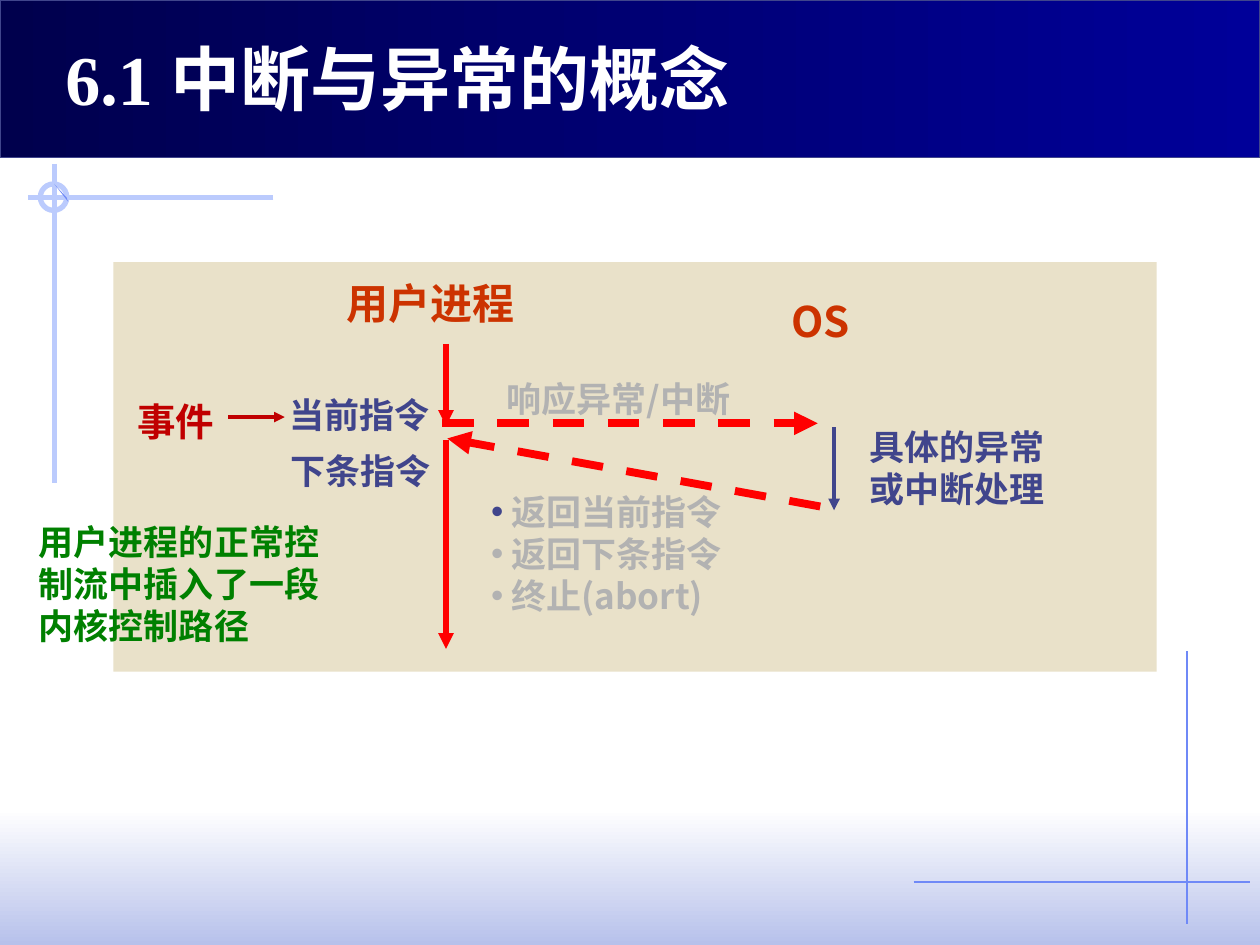
from lxml import etree
from pptx import Presentation
from pptx.dml.color import RGBColor
from pptx.enum.dml import MSO_LINE
from pptx.enum.shapes import MSO_CONNECTOR, MSO_SHAPE
from pptx.enum.text import MSO_ANCHOR
from pptx.oxml.ns import qn
from pptx.util import Inches, Pt

RECT, OVAL = MSO_SHAPE.RECTANGLE, MSO_SHAPE.OVAL
STRAIGHT = MSO_CONNECTOR.STRAIGHT
DASH = MSO_LINE.DASH
TOP, BOTTOM = MSO_ANCHOR.TOP, MSO_ANCHOR.BOTTOM

CJK = "Noto Sans CJK SC"
NAVY, RED, DARK_RED, ORANGE = "40458C", "FF0000", "C00000", "CC3300"
GREY, GREEN, WHITE = "B2B2B2", "008000", "FFFFFF"
PALE_BLUE, MID_BLUE = "BBCBFD", "6F89F7"


def rgb(value):
    return RGBColor.from_string(value)


def paint(sp, fill=None, gradient=None, angle=0, line=None, width=0.75):
    sp.shadow.inherit = False
    if gradient:
        sp.fill.gradient()
        sp.fill.gradient_angle = angle
        for stop, color in zip(sp.fill.gradient_stops, gradient):
            stop.color.rgb = rgb(color)
    elif fill:
        sp.fill.solid()
        sp.fill.fore_color.rgb = rgb(fill)
    else:
        sp.fill.background()
    if line:
        sp.line.color.rgb = rgb(line)
        sp.line.width = Pt(width)
    else:
        sp.line.fill.background()


def add_shape(s, kind, x, y, w, h, **style):
    sp = s.shapes.add_shape(kind, Inches(x), Inches(y), Inches(w), Inches(h))
    paint(sp, **style)


def add_line(s, x1, y1, x2, y2, color, width, arrow=False, dash=None):
    line = s.shapes.add_connector(
        STRAIGHT, Inches(x1), Inches(y1), Inches(x2), Inches(y2))
    line.line.color.rgb = rgb(color)
    line.line.width = Pt(width)
    if dash:
        line.line.dash_style = dash
    if arrow:
        ln = line.line._get_or_add_ln()
        etree.SubElement(ln, qn("a:tailEnd"), type="triangle")
    etree.SubElement(line._element.spPr, qn("a:effectLst"))


def add_bullet(p, color):
    pPr = p._p.get_or_add_pPr()
    pPr.set("marL", str(Inches(0.16)))
    pPr.set("indent", str(-Inches(0.16)))
    clr = etree.SubElement(pPr, qn("a:buClr"))
    etree.SubElement(clr, qn("a:srgbClr"), val=color)
    etree.SubElement(pPr, qn("a:buFont"), typeface="Arial")
    etree.SubElement(pPr, qn("a:buChar"), char="•")


def add_text(s, text, x, y, w, h, size=20, color=NAVY, font="Calibri",
             anchor=TOP, wrap=True, bullets=()):
    box = s.shapes.add_textbox(Inches(x), Inches(y), Inches(w), Inches(h))
    tf = box.text_frame
    tf.word_wrap = wrap
    tf.vertical_anchor = anchor
    for i, content in enumerate(text.split("\n")):
        p = tf.add_paragraph() if i else tf.paragraphs[0]
        p.line_spacing = Pt(size * 1.2)
        if bullets:
            add_bullet(p, bullets[i])
        r = p.add_run()
        r.text = content
        r.font.size = Pt(size)
        r.font.bold = True
        r.font.name = font
        r.font.color.rgb = rgb(color)
        etree.SubElement(r._r.get_or_add_rPr(), qn("a:ea"), typeface=CJK)


def add_corner_mark(s, x, y):
    add_line(s, x + 1.74, y, x - 0.21, y, PALE_BLUE, 3)
    add_line(s, x, y - 0.27, x, y + 2.26, PALE_BLUE, 3)
    add_shape(s, OVAL, x - 0.11, y - 0.11, 0.21, 0.21, line=PALE_BLUE, width=3)
    fb = s.shapes.build_freeform(Inches(x + 0.1), Inches(y))
    fb.add_line_segments([(Inches(x + 0.11), Inches(y + 0.03)),
                          (Inches(x), Inches(y - 0.11))])
    paint(fb.convert_to_shape(), fill=MID_BLUE)


def add_background(s, w, h):
    add_shape(s, RECT, 0, h - 1.08, w, 1.08,
              gradient=(WHITE, "B7C1EB"), angle=270)
    add_line(s, w - 0.58, h - 2.33, w - 0.58, h - 0.17, MID_BLUE, 0.75)
    add_line(s, w - 2.75, h - 0.5, w - 0.08, h - 0.5, MID_BLUE, 0.75)
    add_corner_mark(s, 0.43, 1.57)


def add_header(s, x, y, w, h):
    add_shape(s, RECT, x, y, w, h, gradient=("00004D", "000099"), line=NAVY)
    add_text(s, "6.1 中断与异常的概念", x + 0.42, y + 0.28, 7.89, 0.72,
             size=40, color=WHITE, font="Times New Roman", anchor=BOTTOM)


def add_control_flow(s, x, y, w, h):
    add_shape(s, RECT, x, y, w, h, fill="E9E1C9")

    add_text(s, "用户进程", x + 1.75, y + 0.07, 1.53, 0.5,
             size=24, color=ORANGE, wrap=False)
    add_text(s, "OS", x + 5.28, y + 0.22, 0.67, 0.5,
             size=24, color=ORANGE, font=CJK, wrap=False)

    user_x, os_x = x + 2.64, x + 5.72
    add_line(s, user_x, y + 0.65, user_x, y + 1.3, RED, 3, arrow=True)
    add_line(s, os_x, y + 1.31, os_x, y + 1.97, NAVY, 2.25, arrow=True)
    add_line(s, user_x, y + 1.41, user_x, y + 3.07, RED, 3, arrow=True)

    add_text(s, "响应异常/中断", x + 3.02, y + 0.87, 2.43, 0.43,
             color=GREY, font=CJK)
    add_text(s, "具体的异常或中断处理", x + 5.9, y + 1.25, 1.82, 1.06)
    add_text(s, "返回当前指令\n返回下条指令\n终止(abort)",
             x + 2.9, y + 1.76, 2.2, 1.1, color=GREY, font=CJK,
             bullets=(NAVY, GREY, GREY))

    add_text(s, "事件", x + 0.09, y + 1.03, 0.88, 0.46,
             size=22, color=DARK_RED)
    add_text(s, "当前指令", x + 1.3, y + 0.99, 1.51, 0.43, font=CJK)
    add_text(s, "下条指令", x + 1.31, y + 1.44, 1.31, 0.43, wrap=False)

    add_line(s, x + 0.91, y + 1.23, x + 1.36, y + 1.23, DARK_RED, 2,
             arrow=True)
    add_line(s, x + 2.61, y + 1.28, x + 5.59, y + 1.28, RED, 4.5,
             arrow=True, dash=DASH)
    add_line(s, x + 5.61, y + 1.94, x + 2.65, y + 1.4, RED, 4.5,
             arrow=True, dash=DASH)

    add_text(s, "用户进程的正常控制流中插入了一段内核控制路径",
             x - 0.69, y + 2, 2.46, 1.1, color=GREEN, font="Arial")


def main():
    prs = Presentation()
    prs.slide_width, prs.slide_height = Inches(10), Inches(7.5)
    s = prs.slides.add_slide(prs.slide_layouts[6])
    add_background(s, 10, 7.5)
    add_header(s, 0, 0, 10, 1.25)
    add_control_flow(s, 0.9, 2.08, 8.28, 3.25)
    prs.save("out.pptx")


if __name__ == "__main__":
    main()
